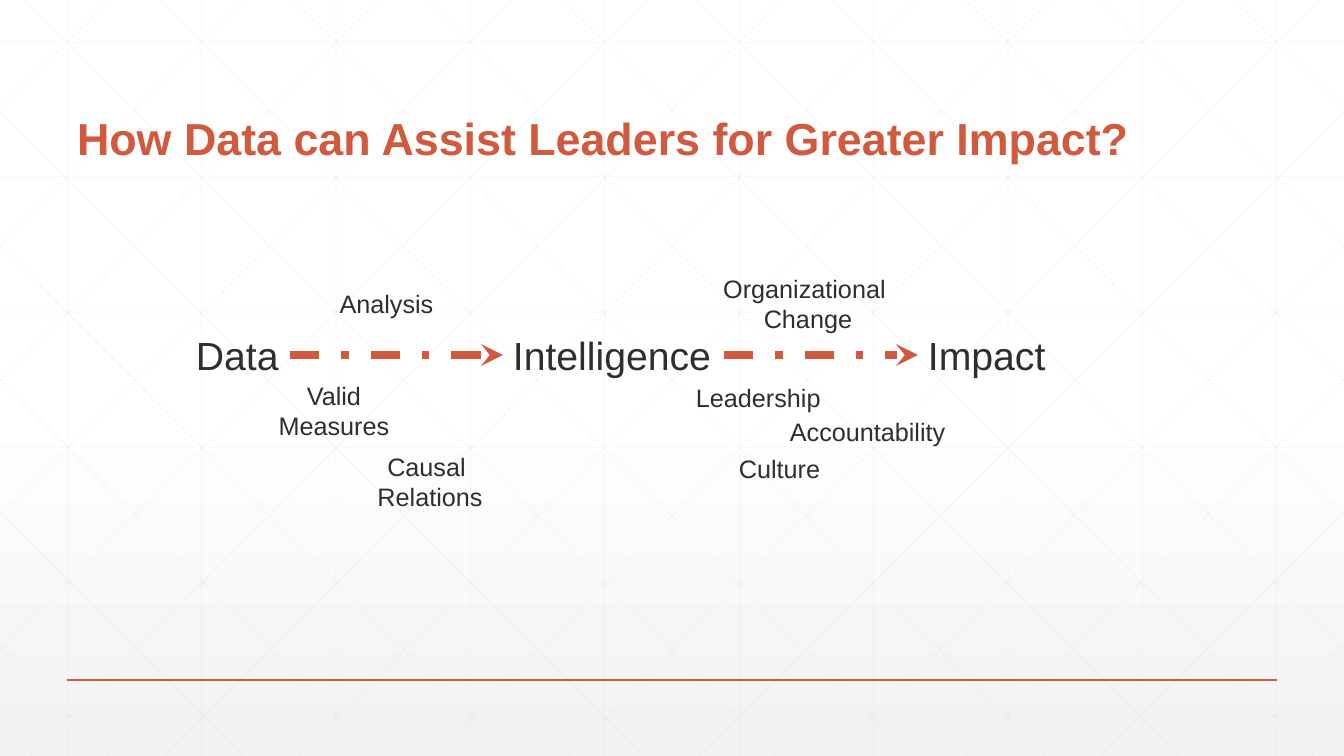
from copy import deepcopy

from pptx import Presentation
from pptx.dml.color import RGBColor
from pptx.enum.dml import MSO_LINE
from pptx.enum.shapes import MSO_CONNECTOR
from pptx.enum.text import MSO_ANCHOR, MSO_AUTO_SIZE, PP_ALIGN
from pptx.oxml.ns import qn
from pptx.util import Pt
from lxml import etree

PX = 914400 / 100.8
WIDE, HIGH = 1344, 756
STRAIGHT = MSO_CONNECTOR.STRAIGHT
DASH = MSO_LINE.DASH_DOT
LEFT, MID = PP_ALIGN.LEFT, PP_ALIGN.CENTER
COLORS = {"accent": "D15A3E", "ink": "2D2E2D", "grid": "D9D9D9",
          "white": "FFFFFF", "fade": "F2F2F2"}


def hue(name):
    return RGBColor.from_string(COLORS[name])


def emu(*sizes):
    return [round(size * PX) for size in sizes]


prs = Presentation()
prs.slide_width, prs.slide_height = emu(WIDE, HIGH)
slide = prs.slides.add_slide(prs.slide_layouts[5])
shapes = slide.shapes


def write(frame, text, size=18, color="ink", bold=False, align=LEFT, space=1.0):
    frame.text = text
    for para in frame.paragraphs:
        para.alignment = align
        para.line_spacing = space
        for run in para.runs:
            font = run.font
            font.name, font.size, font.bold = "Arial", Pt(size), bold
            font.color.rgb = hue(color)


def draw(x1, y1, x2, y2, color="accent", width=1.0, alpha=None, arrow=False):
    link = shapes.add_connector(STRAIGHT, *emu(x1, y1, x2, y2))
    link.line.width = Pt(width)
    link.line.color.rgb = hue(color)
    props = link._element.spPr
    if alpha:
        tone = props.find(".//" + qn("a:srgbClr"))
        etree.SubElement(tone, qn("a:alpha"), val=str(alpha * 1000))
    if arrow:
        link.line.dash_style = DASH
        etree.SubElement(props.find(qn("a:ln")), qn("a:tailEnd"), type="stealth")
    etree.SubElement(props, qn("a:effectLst"))


# Background fading to grey at the foot
fill = slide.background.fill
fill.gradient()
fill.gradient_angle = 270
stops = slide._element.find(".//" + qn("a:gsLst"))
stops.insert(0, deepcopy(stops[0]))
for stop, (place, name) in zip(fill.gradient_stops,
                               [(0, "white"), (0.53, "white"), (1, "fade")]):
    stop.position = place
    stop.color.rgb = hue(name)

# Grid: upright, level and slanted lines
step = WIDE / 10
grid = [(step * (i + 0.5), 0, step * (i + 0.5), HIGH) for i in range(10)]
grid += [(0, 42 + 135 * i, WIDE, 42 + 135 * i) for i in range(6)]
slants = []
for i in range(10):
    start = 25 + step * i
    run = min(751, WIDE - start)
    slants.append((start, 0, start + run, run * HIGH / 751))
for i in range(5):
    top = 112 + 133.5 * i
    slants.append((0, top, HIGH - top, HIGH))
grid += slants
grid += [(WIDE - x1, y1, WIDE - x2, y2) for x1, y1, x2, y2 in slants]
for ends in grid:
    draw(*ends, color="grid", width=0.5, alpha=25)

# Foot rule
draw(67, 680, 1277, 680)

# Title, in front of the grid
title = shapes.title
title.left, title.top, title.width, title.height = emu(67, 44, 1128, 126)
frame = title.text_frame
frame.word_wrap = True
frame.auto_size = MSO_AUTO_SIZE.NONE
frame.vertical_anchor = MSO_ANCHOR.BOTTOM
write(frame, "How Data can Assist Leaders for Greater Impact?",
      size=32, color="accent", bold=True, space=0.9)
shapes._spTree.append(title._element)

# Arrows between the stages
for start, end in [(290, 503), (724, 918)]:
    draw(start, 355, end, 355, width=5.25, arrow=True)

# Stages and the factors around them
labels = [
    ("Data", 186, 326, 104, 57, 28, LEFT),
    ("Intelligence", 503, 326, 221, 57, 28, LEFT),
    ("Impact", 918, 326, 139, 57, 28, LEFT),
    ("Analysis", 329, 283, 115, 40, 18, MID),
    ("Valid\nMeasures", 268, 375, 132, 72, 18, MID),
    ("Organizational \vChange", 712, 268, 192, 72, 18, MID),
    ("Leadership", 686, 377, 146, 40, 18, LEFT),
    ("Accountability", 780, 411, 177, 40, 18, LEFT),
    ("Culture", 729, 448, 103, 40, 18, LEFT),
    ("Causal \vRelations", 367, 446, 126, 72, 18, MID),
]
for text, x, y, w, h, size, align in labels:
    frame = shapes.add_textbox(*emu(x, y, w, h)).text_frame
    frame.word_wrap = False
    frame.auto_size = MSO_AUTO_SIZE.SHAPE_TO_FIT_TEXT
    write(frame, text, size=size, align=align)

prs.save("out.pptx")
